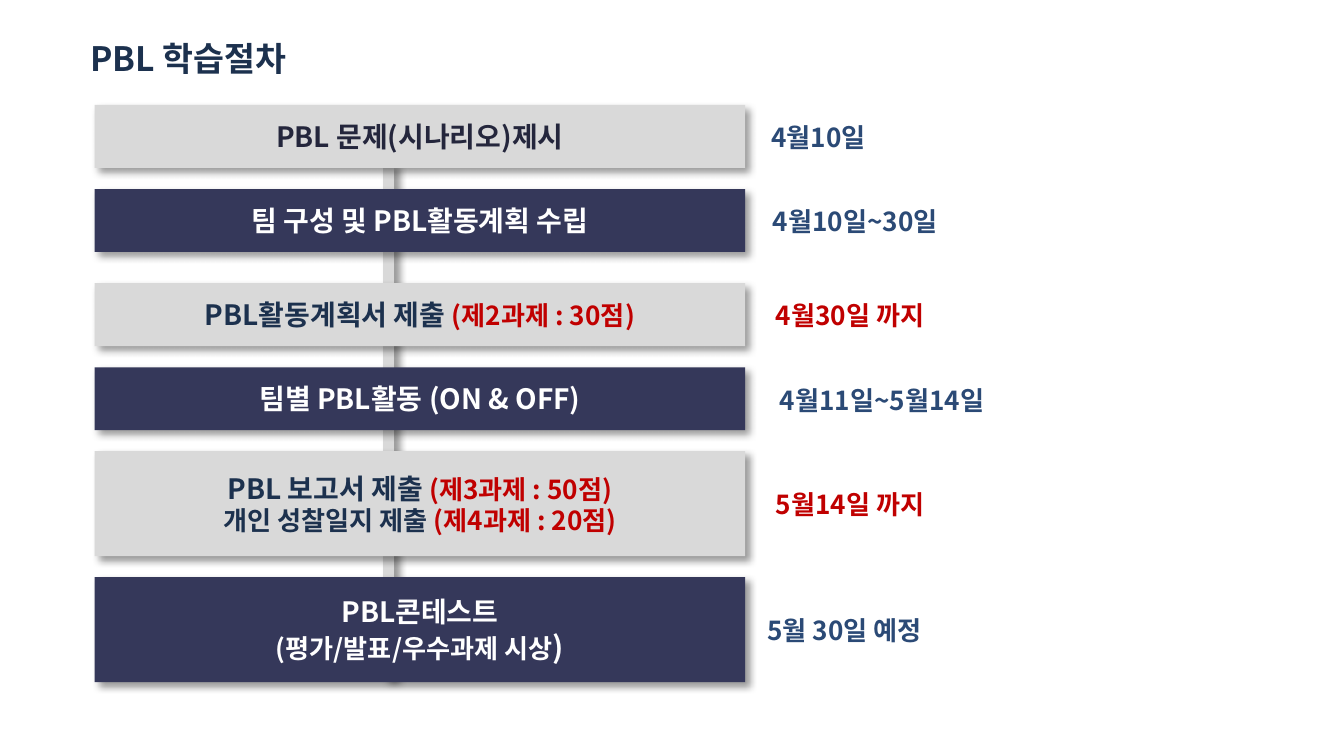
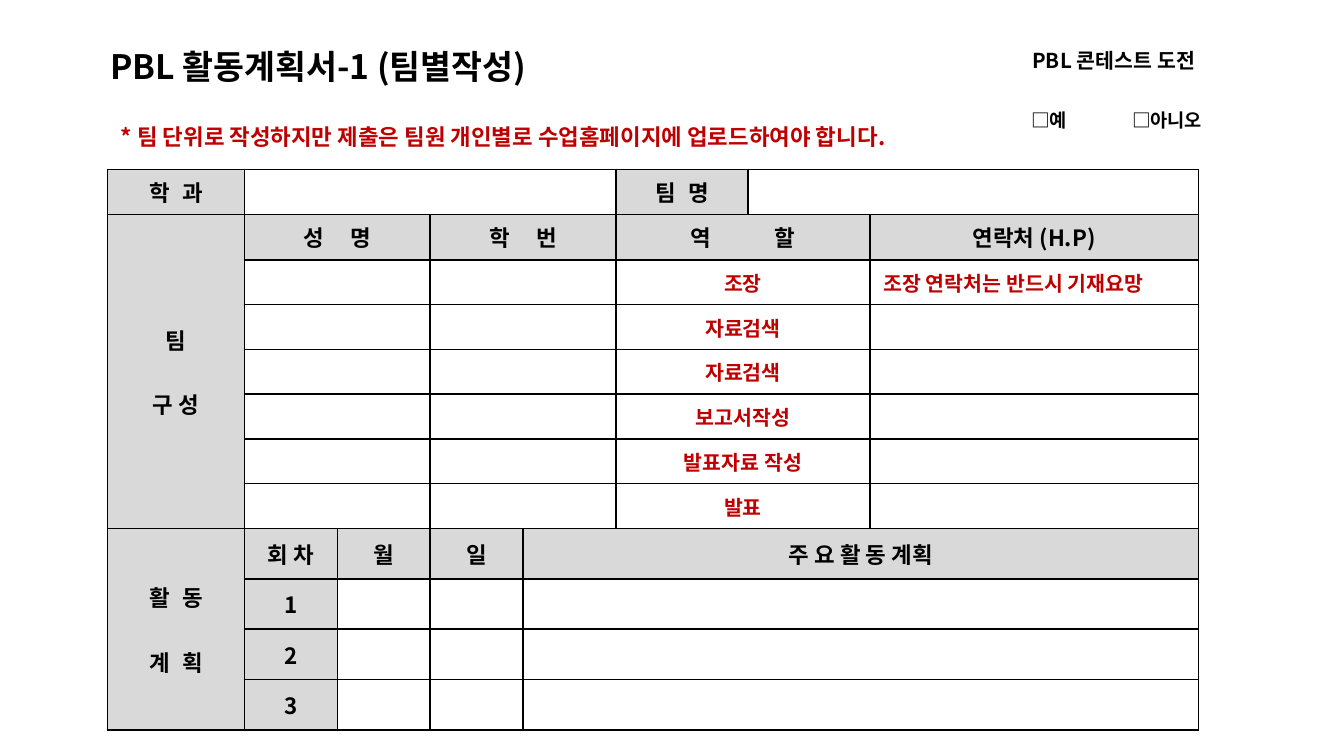
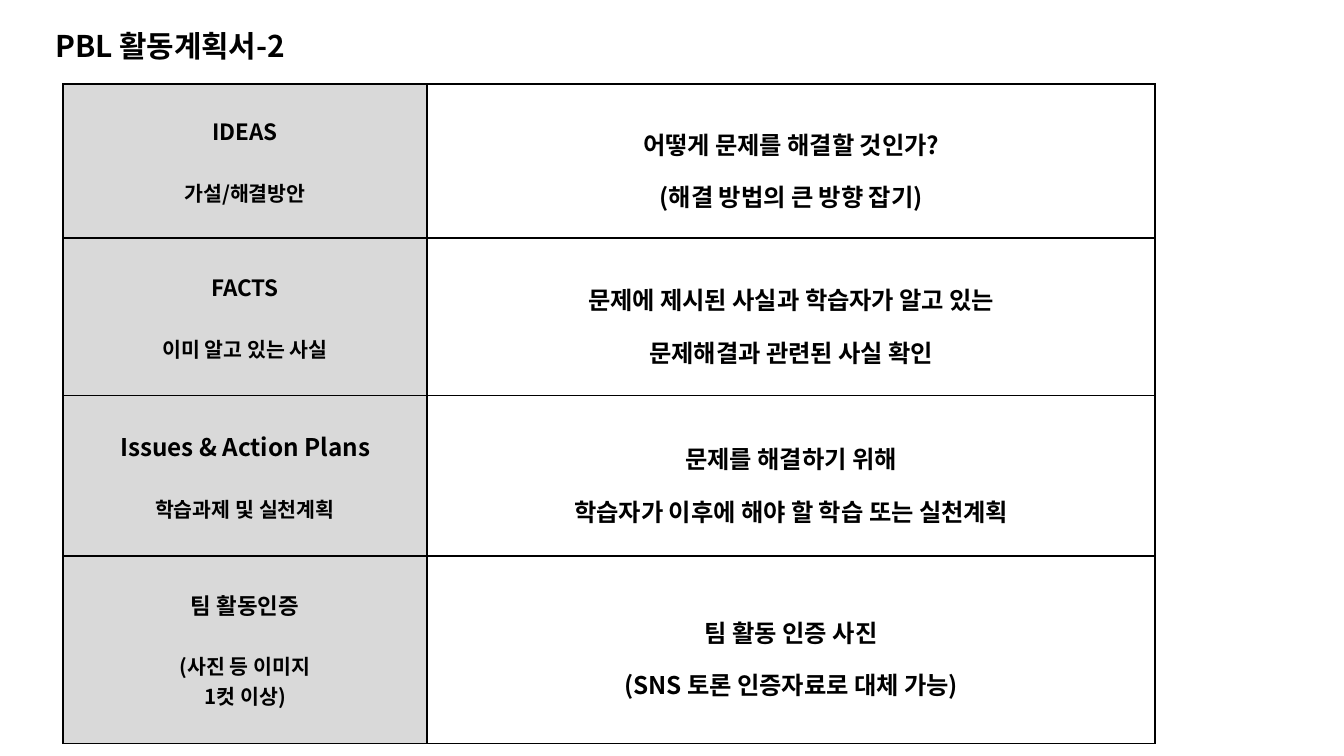
"""Build three slides on the PBL learning steps and the activity plan forms."""
import pptx
import pptx.util
import pptx.dml.color
import pptx.enum.shapes
import pptx.enum.text
import pptx.oxml
import pptx.oxml.ns

Pt = pptx.util.Pt
RGB = pptx.dml.color.RGBColor.from_string
ALIGN = pptx.enum.text.PP_ALIGN
MIDDLE = pptx.enum.text.MSO_ANCHOR.MIDDLE
NS = pptx.oxml.ns.nsdecls("a")
FONT = "Noto Sans CJK KR"
NO_STYLE = "{2D5ABB26-0587-4C30-8999-92F81FD0307C}"
COLORS = {
    "black": "000000", "white": "FFFFFF", "gray": "D9D9D9", "red": "C00000",
    "navy": "35385A", "ink": "1C314E", "dark": "24263C", "blue": "2B4A76",
}
SHADOW = (
    f'<a:effectLst {NS}><a:outerShdw blurRad="50800" dist="38100" dir="%d" algn="tl" rotWithShape="0">'
    '<a:srgbClr val="000000"><a:alpha val="40000"/></a:srgbClr></a:outerShdw></a:effectLst>'
)
BORDER = (
    f'<a:%s {NS} w="12700"><a:solidFill><a:srgbClr val="{COLORS["black"]}"/></a:solidFill></a:%s>'
)


def write(tf, paras, align=ALIGN.CENTER, gap=0, spacing=None):
    """Fill a text frame; each paragraph is a list of (text, size, colour) runs."""
    tf.word_wrap = True
    for i, runs in enumerate(paras):
        p = tf.paragraphs[0] if i == 0 else tf.add_paragraph()
        p.alignment = align
        if spacing:
            p.line_spacing = spacing
        if i == 1 and gap:
            p.space_before = Pt(gap)
        for text, size, color in runs:
            r = p.add_run()
            r.text = text
            r.font.size = Pt(size)
            r.font.bold = True
            r.font.name = FONT
            r.font.color.rgb = RGB(COLORS[color])
            ea = pptx.oxml.parse_xml(f'<a:ea {NS} typeface="{FONT}"/>')
            r.font._element.append(ea)


def add_grid(s, left, top, cols, rows, first_bordered=0):
    """Add a plain table with black borders from the given row down."""
    sp = s.shapes.add_table(len(rows), len(cols), Pt(left), Pt(top), Pt(sum(cols)), Pt(sum(rows)))
    table = sp.table
    table.first_row = table.horz_banding = False
    table._tbl.tblPr.find(pptx.oxml.ns.qn("a:tableStyleId")).text = NO_STYLE
    for column, width in zip(table.columns, cols):
        column.width = Pt(width)
    for i, height in enumerate(rows):
        table.rows[i].height = Pt(height)
        for cell in table.rows[i].cells:
            cell.vertical_anchor = MIDDLE
            cell.margin_top = cell.margin_bottom = Pt(1)
            cell.text_frame.paragraphs[0]._p.get_or_add_endParaRPr().set("sz", "1000")
            tcPr = cell._tc.get_or_add_tcPr()
            sides = ("lnL", "lnR", "lnT", "lnB") if i >= first_bordered else ()
            if i == first_bordered - 1:
                sides = ("lnB",)
            for side in sides:
                tcPr.append(pptx.oxml.parse_xml(BORDER % (side, side)))
            cell.fill.background()
    return table


prs = pptx.Presentation()
prs.slide_width, prs.slide_height = Pt(720), Pt(405)
slides = [prs.slides.add_slide(prs.slide_layouts[6]) for _ in range(3)]

titles = [
    (16.5, 16.5, 168.5, 29, "PBL 학습절차", 18, "ink", ALIGN.CENTER),
    (52, 21, 284.5, 29, "PBL 활동계획서-1 (팀별작성)", 18, "black", ALIGN.LEFT),
    (22.5, 11.5, 284.5, 26.5, "PBL 활동계획서-2", 16, "black", ALIGN.LEFT),
]
for s, (left, top, width, height, text, size, color, align) in zip(slides, titles):
    sp = s.shapes.add_textbox(Pt(left), Pt(top), Pt(width), Pt(height))
    write(sp.text_frame, [[(text, size, color)]], align)

s = slides[0]
sp = s.shapes.add_connector(
    pptx.enum.shapes.MSO_CONNECTOR.STRAIGHT, Pt(208), Pt(90), Pt(208), Pt(365.5))
sp.line.color.rgb = RGB(COLORS["gray"])
sp.line.width = Pt(6)
sp._element.spPr.append(pptx.oxml.parse_xml(SHADOW % 0))

steps = [
    (56.25, 33.75, "gray", [[("PBL 문제(시나리오)제시", 15, "dark")]],
     "4월10일", "blue", 382.5, 112),
    (101.25, 33.75, "navy", [[("팀 구성 및 PBL활동계획 수립", 15, "white")]],
     "4월10일~30일", "blue", 388, 140.5),
    (151.75, 33.75, "gray", [[("PBL활동계획서 제출 ", 15, "ink"), ("(제2과제 : 30점)", 14, "red")]],
     "4월30일 까지", "red", 399.5, 112),
    (196.75, 33.75, "navy", [[("팀별 PBL활동 (ON & OFF)", 15, "white")]],
     "4월11일~5월14일", "blue", 382.5, 180),
    (241.75, 56.25, "gray",
     [[("PBL 보고서 제출 ", 15, "ink"), ("(제3과제 : 50점)", 14, "red")],
      [("개인 성찰일지 제출 ", 14, "ink"), ("(제4과제 : 20점)", 14, "red")]],
     "5월14일 까지", "red", 399.5, 112),
    (309.25, 56.25, "navy",
     [[("PBL콘테스트", 15, "white")],
      [("(평가/발표/우수과제 시상", 14, "white"), (")", 16, "white")]],
     "5월 30일 예정", "blue", 385, 135),
]
for top, height, fill, paras, date, date_color, date_left, date_width in steps:
    sp = s.shapes.add_shape(
        pptx.enum.shapes.MSO_SHAPE.RECTANGLE, Pt(50.75), Pt(top), Pt(348.5), Pt(height))
    sp.fill.solid()
    sp.fill.fore_color.rgb = RGB(COLORS[fill])
    sp.line.fill.background()
    sp._element.spPr.append(pptx.oxml.parse_xml(SHADOW % 2700000))
    sp.text_frame.vertical_anchor = MIDDLE
    write(sp.text_frame, paras)
    sp = s.shapes.add_textbox(
        Pt(date_left), Pt(top + height / 2 - 11.5), Pt(date_width), Pt(24.5))
    write(sp.text_frame, [[(date, 14, date_color)]])

s = slides[1]
plan = add_grid(
    s, 57.5, 54.75, [73.5] + [49.8] * 4 + [70.5, 65.5, 176],
    [36, 24.25, 24.25] + [24] * 6 + [27] * 4, first_bordered=1)
notice = "* 팀 단위로 작성하지만 제출은 팀원 개인별로 수업홈페이지에 업로드하여야 합니다."
headers = [
    (1, 0, 1, 1, ["학 과"]), (1, 5, 1, 1, ["팀 명"]),
    (2, 0, 7, 1, ["팀", "구 성"]), (2, 1, 1, 2, ["성 명"]), (2, 3, 1, 2, ["학 번"]),
    (2, 5, 1, 2, ["역 할"]), (2, 7, 1, 1, ["연락처 (H.P)"]),
    (9, 0, 4, 1, ["활 동", "계 획"]), (9, 1, 1, 1, ["회 차"]), (9, 2, 1, 1, ["월"]),
    (9, 3, 1, 1, ["일"]), (9, 4, 1, 4, ["주 요 활 동 계획"]),
] + [(9 + n, 1, 1, 1, [str(n)]) for n in (1, 2, 3)]
entries = [(0, 0, 1, 8, [notice]), (1, 1, 1, 4, []), (1, 6, 1, 2, []),
           (3, 7, 1, 1, ["조장 연락처는 반드시 기재요망"])]
for i, role in enumerate(["조장", "자료검색", "자료검색", "보고서작성", "발표자료 작성", "발표"], 3):
    entries += [(i, 1, 1, 2, []), (i, 3, 1, 2, []), (i, 5, 1, 2, [role])]
entries += [(i, 4, 1, 4, []) for i in (10, 11, 12)]
word_gaps = {"학 과": 4, "팀 명": 4, "활 동": 4, "계 획": 4, "성 명": 11, "학 번": 11, "역 할": 31}

for row, col, row_span, col_span, lines in headers + entries:
    cell = plan.cell(row, col)
    if row_span * col_span > 1:
        cell.merge(plan.cell(row + row_span - 1, col + col_span - 1))
    is_header = (row, col, row_span, col_span, lines) in headers
    if is_header:
        cell.fill.solid()
        cell.fill.fore_color.rgb = RGB(COLORS["gray"])
    size = 12 if is_header or row == 0 else 11
    color = "black" if is_header else "red"
    paras = [[(part, size, color) for part in (line[0], " ", line[2:])]
             if line in word_gaps else [(line, size, color)] for line in lines]
    align = ALIGN.LEFT if row == 0 or (row, col) == (3, 7) else ALIGN.CENTER
    write(cell.text_frame, paras, align, gap=17)
    for line, p in zip(lines, cell.text_frame.paragraphs):
        if line in word_gaps:
            p.runs[1].font._element.set("spc", str(word_gaps[line] * 100))

contest = add_grid(s, 530, 15, [64, 62.5], [34, 30.5], first_bordered=9)
contest.cell(0, 0).merge(contest.cell(0, 1))
contest.cell(0, 0).margin_left = Pt(14)
for row, col, text, size in [(0, 0, "PBL 콘테스트 도전", 11), (1, 0, "□예", 10), (1, 1, "□아니오", 10)]:
    write(contest.cell(row, col).text_frame, [[(text, size, "black")]])

s = slides[2]
topics = [
    ("IDEAS", 12, ["가설/해결방안"], ["어떻게 문제를 해결할 것인가?", "(해결 방법의 큰 방향 잡기)"]),
    ("FACTS", 12, ["이미 알고 있는 사실"],
     ["문제에 제시된 사실과 학습자가 알고 있는", "문제해결과 관련된 사실 확인"]),
    ("Issues & Action Plans", 13, ["학습과제 및 실천계획"],
     ["문제를 해결하기 위해", "학습자가 이후에 해야 할 학습 또는 실천계획"]),
    ("팀 활동인증", 12, ["(사진 등 이미지", "1컷 이상)"],
     ["팀 활동 인증 사진", "(SNS 토론 인증자료로 대체 가능)"]),
]
guide = add_grid(s, 33.75, 45, [195, 390], [82.5, 84.5, 85.75, 100.5])
for i, (name, size, notes, details) in enumerate(topics):
    label, body = guide.rows[i].cells
    label.fill.solid()
    label.fill.fore_color.rgb = RGB(COLORS["gray"])
    write(label.text_frame, [[(name, size, "black")]] + [[(note, 11, "black")] for note in notes], gap=16)
    write(body.text_frame, [[(line, 13, "black")] for line in details], spacing=1.5)

prs.save("out.pptx")
